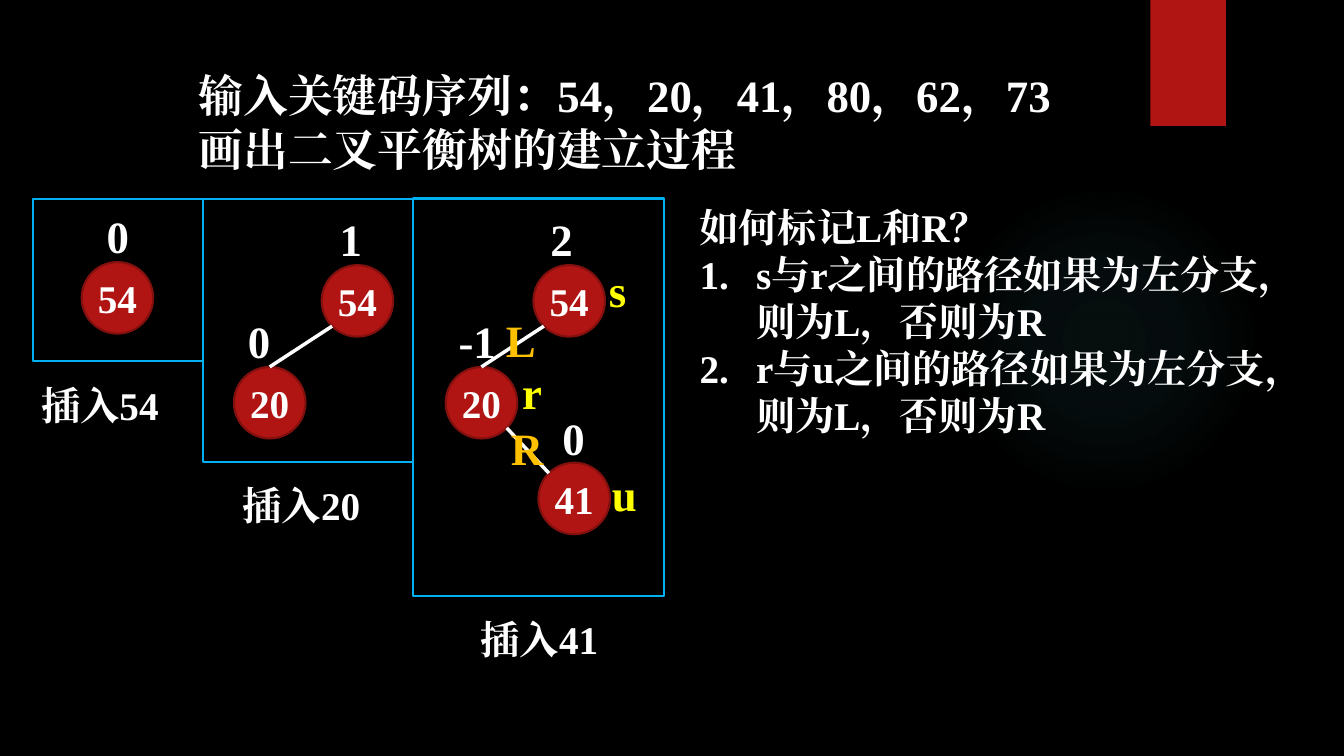
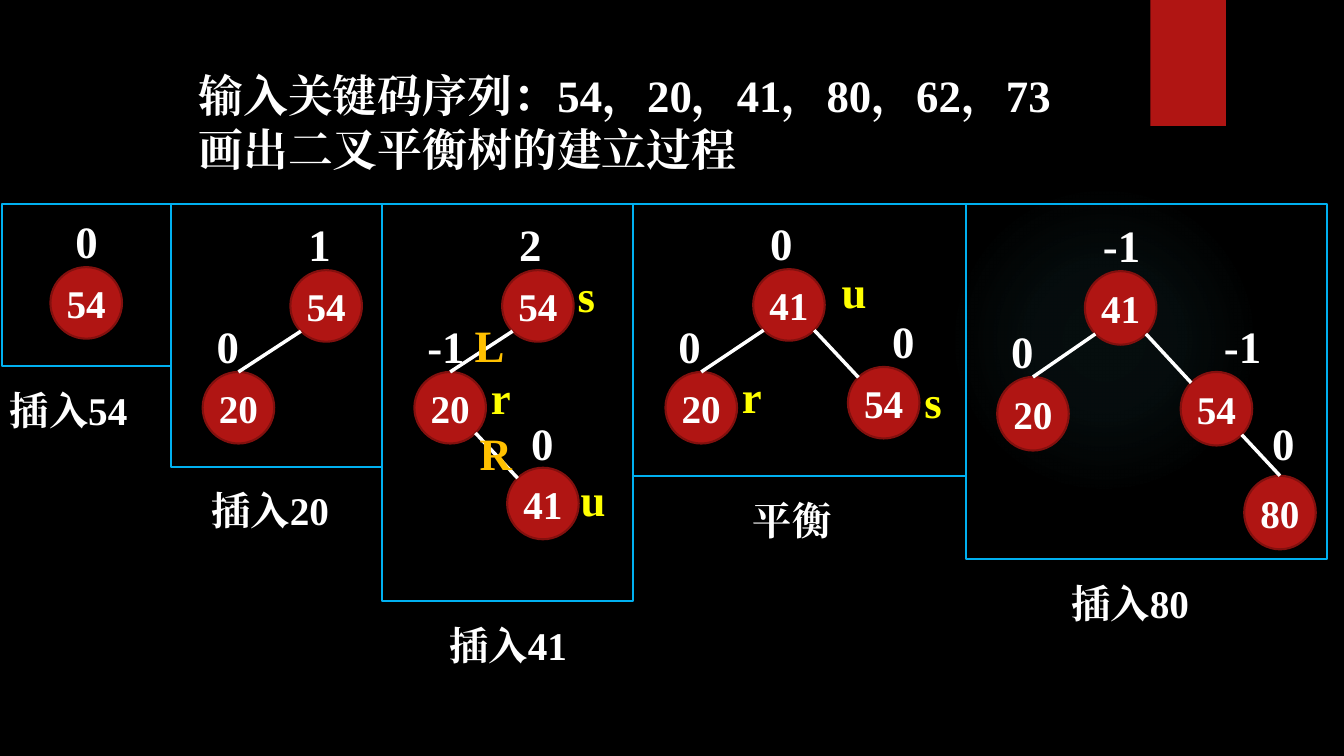
from dataclasses import dataclass
from math import sqrt
from typing import Optional

from lxml.etree import SubElement
from pptx import Presentation
from pptx.dml.color import RGBColor
from pptx.enum.shapes import MSO_CONNECTOR, MSO_SHAPE
from pptx.enum.text import MSO_ANCHOR, MSO_AUTO_SIZE, PP_ALIGN
from pptx.oxml import parse_xml
from pptx.oxml.ns import nsdecls, qn
from pptx.util import Inches, Pt


@dataclass(frozen=True)
class Theme:
    font: str = "Times New Roman"
    background: str = "000000"
    text: str = "FFFFFF"
    red: str = "B01513"
    dark_red: str = "82100E"
    frame: str = "00B0F0"
    pointer: str = "FFFF00"
    branch: str = "FFC000"
    glow: str = "50B9C1"
    large: int = 32
    normal: int = 28


@dataclass(frozen=True)
class Node:
    key: str
    x: float
    y: float
    balance: str
    balance_dx: float
    balance_dy: float = -0.58
    parent: Optional[str] = None
    top_entry: bool = True


@dataclass(frozen=True)
class Stage:
    caption: str
    caption_dx: float
    width: float
    height: float
    nodes: tuple
    pointers: tuple = ()
    branches: tuple = ()
    node_height: float = 0.71


NODE_WIDTH = 0.71
CAPTION_GAP = 0.15
TITLE = "输入关键码序列：54，20，41，80，62，73画出二叉平衡树的建立过程"
QUESTION = "如何标记L和R？"
RULES = (
    "s与r之间的路径如果为左分支，则为L，否则为R",
    "r与u之间的路径如果为左分支，则为L，否则为R",
)

# Positions inside a stage are measured from its frame's top left corner
STAGES = (
    Stage("插入54", -0.02, 1.68, 1.61, (Node("54", 0.48, 0.63, "0", 0.15),)),
    Stage("插入20", 0.3, 2.09, 2.61, (
        Node("54", 1.18, 0.66, "1", 0.08),
        Node("20", 0.31, 1.67, "0", 0.04, parent="54"),
    )),
    Stage("插入41", 0.57, 2.49, 3.94, (
        Node("54", 1.19, 0.66, "2", 0.07),
        Node("20", 0.32, 1.67, "-1", 0.03, parent="54"),
        Node("41", 1.24, 2.62, "0", 0.14, -0.56, "20", False),
    ), pointers=(("s", 1.84, 0.59), ("r", 0.98, 1.6), ("u", 1.87, 2.61)),
        branches=(("L", 0.82, 1.08), ("R", 0.87, 2.15))),
    Stage("平衡", 1.09, 3.3, 2.7, (
        Node("41", 1.19, 0.65, "0", 0.07),
        Node("20", 0.32, 1.67, "0", 0.03, parent="41"),
        Node("54", 2.13, 1.62, "0", 0.34, parent="41", top_entry=False),
    ), pointers=(("s", 2.79, 1.64), ("r", 0.98, 1.59), ("u", 1.97, 0.55))),
    Stage("插入80", 0.95, 3.58, 3.53, (
        Node("41", 1.18, 0.67, "-1", 0.08),
        Node("20", 0.31, 1.72, "0", 0.04, parent="41"),
        Node("54", 2.13, 1.67, "-1", 0.33, parent="41", top_entry=False),
        Node("80", 2.76, 2.7, "0", 0.18, -0.64, "54"),
    ), node_height=0.73),
)


class Deck:
    def __init__(self, theme):
        self.theme = theme
        self.prs = Presentation()
        self.prs.slide_width, self.prs.slide_height = Inches(13.33), Inches(7.5)
        fill = self.prs.slide_master.background.fill
        fill.solid()
        fill.fore_color.rgb = RGBColor.from_string(theme.background)
        self.canvas = None

    def start_slide(self):
        self.slide = self.prs.slides.add_slide(self.prs.slide_layouts[6])
        self.canvas = self.slide.shapes
        self.add_glow()
        self.add_shape(MSO_SHAPE.RECTANGLE, 11.41, 0, 0.75, 1.25, fill=self.theme.red)
        self.add_text(TITLE, 1.87, 0.62, 8.99, 1.18)

    def add_shape(self, kind, x, y, width, height, fill=None, line=None):
        shape = self.canvas.add_shape(
            kind, Inches(x), Inches(y), Inches(width), Inches(height))
        shape.shadow.inherit = False
        if fill:
            shape.fill.solid()
            shape.fill.fore_color.rgb = RGBColor.from_string(fill)
        else:
            shape.fill.background()
        if line:
            shape.line.color.rgb = RGBColor.from_string(line)
            shape.line.width = Pt(1.5)
        else:
            shape.line.fill.background()
        return shape

    def add_glow(self):
        glow = self.add_shape(MSO_SHAPE.OVAL, 9.41, 1.83, 3.08, 3.08)
        stops = "".join(
            f'<a:gs pos="{pos * 1000}"><a:srgbClr val="{self.theme.glow}">'
            f'<a:alpha val="{alpha * 1000}"/></a:srgbClr></a:gs>'
            for pos, alpha in ((0, 7), (36, 6), (69, 0)))
        gradient = parse_xml(
            f'<a:gradFill {nsdecls("a")}><a:gsLst>{stops}</a:gsLst>'
            '<a:path path="circle"><a:fillToRect l="50000" t="50000" '
            'r="50000" b="50000"/></a:path></a:gradFill>')
        properties = glow.element.spPr
        properties.replace(properties.find(qn("a:noFill")), gradient)

    def add_run(self, paragraph, text, size, color=None):
        run = paragraph.add_run()
        run.text = text
        run.font.name = self.theme.font
        run.font.size = Pt(size)
        run.font.bold = True
        run.font.color.rgb = RGBColor.from_string(color or self.theme.text)
        SubElement(run.font._element, qn("a:ea")).set("typeface", self.theme.font)

    def add_text(self, text, x, y, width, height, size=None, color=None):
        box = self.canvas.add_textbox(
            Inches(x), Inches(y), Inches(width), Inches(height))
        frame = box.text_frame
        frame.word_wrap = True
        frame.auto_size = MSO_AUTO_SIZE.SHAPE_TO_FIT_TEXT
        self.add_run(frame.paragraphs[0], text, size or self.theme.large, color)
        return frame

    def add_rules(self):
        size = self.theme.normal
        frame = self.add_text(QUESTION, 6.84, 1.97, 6.21, 2.46, size)
        for rule in RULES:
            paragraph = frame.add_paragraph()
            properties = paragraph._p.get_or_add_pPr()
            properties.set("marL", str(Inches(0.56)))
            properties.set("indent", str(-Inches(0.56)))
            SubElement(properties, qn("a:buAutoNum")).set("type", "arabicPeriod")
            self.add_run(paragraph, rule, size)

    def add_node(self, key, x, y, height):
        theme = self.theme
        circle = self.add_shape(
            MSO_SHAPE.OVAL, x, y, NODE_WIDTH, height, theme.red, theme.dark_red)
        frame = circle.text_frame
        frame.margin_left = frame.margin_right = 0
        frame.vertical_anchor = MSO_ANCHOR.MIDDLE
        frame.paragraphs[0].alignment = PP_ALIGN.CENTER
        self.add_run(frame.paragraphs[0], key, theme.normal)
        return circle

    def add_edge(self, parent, child, top_entry):
        def rim(circle, across, down):
            """Point on the circle's rim, in the given direction."""
            return (round(circle.left + circle.width * (1 + across) / 2),
                    round(circle.top + circle.height * (1 + down) / 2))

        diagonal = sqrt(0.5)
        side = diagonal if child.left > parent.left else -diagonal
        entry = (0, -1) if top_entry else (-side, -diagonal)
        edge = self.canvas.add_connector(
            MSO_CONNECTOR.STRAIGHT, *rim(child, *entry), *rim(parent, side, diagonal))
        edge.line.color.rgb = RGBColor.from_string(self.theme.text)
        edge.line.width = Pt(2.5)
        SubElement(edge._element.spPr, qn("a:effectLst"))
        if top_entry:
            edge.begin_connect(child, 0)

    def add_stage(self, stage, left, top):
        theme = self.theme
        self.canvas = self.slide.shapes.add_group_shape().shapes
        self.add_shape(MSO_SHAPE.RECTANGLE, left, top, stage.width, stage.height,
                       line=theme.frame)
        # Tree with balance factors
        circles = {}
        for node in stage.nodes:
            x, y = left + node.x, top + node.y
            circles[node.key] = self.add_node(node.key, x, y, stage.node_height)
            if node.parent:
                self.add_edge(circles[node.parent], circles[node.key], node.top_entry)
            self.add_text(node.balance, x + node.balance_dx, y + node.balance_dy,
                          0.66, 0.64)
        # Pointer and branch letters
        for marks, color in ((stage.pointers, theme.pointer),
                             (stage.branches, theme.branch)):
            for letter, dx, dy in marks:
                self.add_text(letter, left + dx, top + dy, 0.66, 0.64, color=color)
        self.add_text(stage.caption, left + stage.caption_dx,
                      top + stage.height + CAPTION_GAP, 1.54, 0.57, theme.normal)
        self.canvas = self.slide.shapes

    def add_stage_row(self, stages, left, top):
        for stage in stages:
            self.add_stage(stage, left, top)
            left += stage.width


def main():
    deck = Deck(Theme())

    # Unbalanced tree and the labelling rules
    deck.start_slide()
    deck.add_rules()
    deck.add_stage_row(STAGES[:3], 0.33, 1.97)

    # Rebalancing and the next insertion
    deck.start_slide()
    deck.add_stage_row(STAGES, 0.02, 2.02)

    deck.prs.save("out.pptx")


if __name__ == "__main__":
    main()
